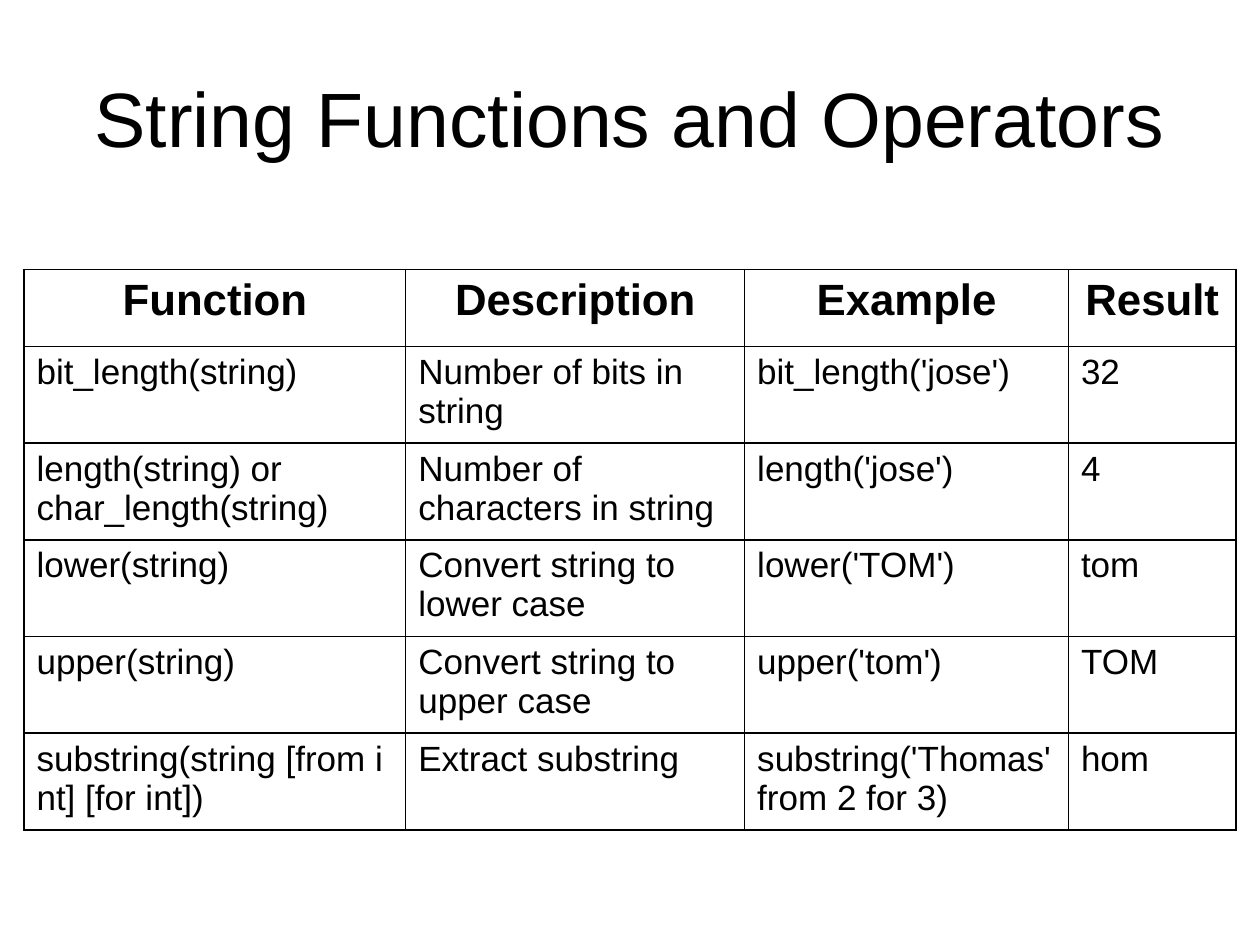
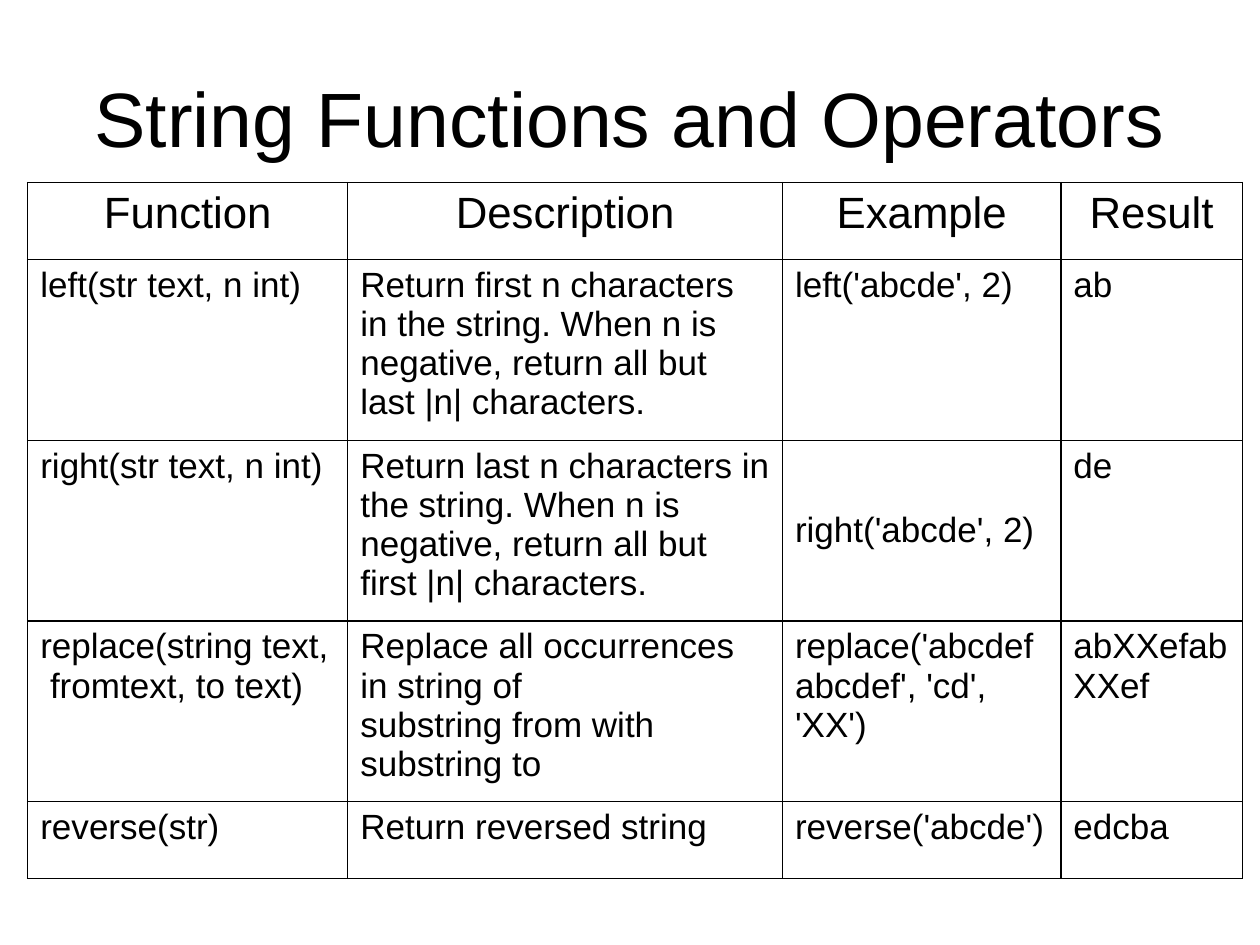
from lxml.etree import SubElement
from pptx import Presentation
from pptx.dml.color import RGBColor
from pptx.enum.text import MSO_ANCHOR, PP_ALIGN
from pptx.oxml.ns import qn
from pptx.util import Inches, Pt

BLACK = RGBColor(0, 0, 0)
FONT = "Arial"
TITLE = "String Functions and Operators"
TITLE_BOX = (0.5, 0.3, 9, 1.25)
HEADINGS = ("Function", "Description", "Example", "Result")
ROW_HEIGHT = 0.61
BORDER_WIDTH = Pt(1)

BASIC_FUNCTIONS = [
    ("bit_length(string)", "Number of bits in string", "bit_length('jose')", "32"),
    ("length(string)\u00a0or\u00a0\nchar_length(string)",
     "Number of characters in string", "length('jose')", "4"),
    ("lower(string)", "Convert string to lower case", "lower('TOM')", "tom"),
    ("upper(string)", "Convert string to upper case", "upper('tom')", "TOM"),
    ("substring(string\u00a0[from\u00a0int] [for\u00a0int])", "Extract substring",
     "substring('Thomas' from 2 for 3)", "hom"),
]
EDITING_FUNCTIONS = [
    ("left(str\u00a0text,\u00a0n\u00a0int)",
     "Return first\u00a0n\u00a0characters in the string. When\u00a0n\u00a0is negative, "
     "return all but last |n| characters.", "left('abcde', 2)", "ab"),
    ("right(str\u00a0text,\u00a0n\u00a0int)",
     "Return last\u00a0n\u00a0characters in the string. When\u00a0n\u00a0is negative, "
     "return all but first |n| characters.", "right('abcde', 2)", "de"),
    ("replace(string\u00a0text,\u00a0fromtext,\u00a0to\u00a0text)",
     "Replace all occurrences in\u00a0string\u00a0of "
     "substring\u00a0from\u00a0with substring\u00a0to",
     "replace('abcdefabcdef', 'cd', 'XX')", "abXXefabXXef"),
    ("reverse(str)", "Return reversed string", "reverse('abcde')", "edcba"),
]


def write_text(text_frame, text, size, alignment, bold=False):
    """Fill a text frame, one paragraph for each line of text."""
    text_frame.text = text
    for paragraph in text_frame.paragraphs:
        paragraph.alignment = alignment
        paragraph.font.name = FONT
        paragraph.font.size = Pt(size)
        paragraph.font.bold = bold
        paragraph.font.color.rgb = BLACK


def add_title(slide, box):
    """Place the centred slide title in the box."""
    text_frame = slide.shapes.add_textbox(*map(Inches, box)).text_frame
    text_frame.word_wrap = True
    text_frame.vertical_anchor = MSO_ANCHOR.MIDDLE
    text_frame.margin_left = text_frame.margin_right = 0
    text_frame.margin_top = text_frame.margin_bottom = 0
    write_text(text_frame, TITLE, 44, PP_ALIGN.CENTER)


def outline_cell(cell):
    """Draw a black border on all four sides of an unfilled cell."""
    properties = cell._tc.get_or_add_tcPr()
    for side in ("a:lnL", "a:lnR", "a:lnT", "a:lnB"):
        line = SubElement(properties, qn(side), w=str(BORDER_WIDTH))
        fill = SubElement(line, qn("a:solidFill"))
        SubElement(fill, qn("a:srgbClr"), val=str(BLACK))
    cell.fill.background()


def add_function_table(slide, left, top, column_widths, functions, bold_headings):
    """Place a table of functions under a heading row and return it."""
    rows = [HEADINGS, *functions]
    table = slide.shapes.add_table(
        len(rows), len(HEADINGS), Inches(left), Inches(top),
        Inches(sum(column_widths)), Inches(ROW_HEIGHT * len(rows))).table
    table.first_row = table.horz_banding = False
    for column, width in zip(table.columns, column_widths):
        column.width = Inches(width)
    for row_index, texts in enumerate(rows):
        table.rows[row_index].height = Inches(ROW_HEIGHT)
        for column_index, text in enumerate(texts):
            cell = table.cell(row_index, column_index)
            outline_cell(cell)
            if row_index == 0:
                write_text(cell.text_frame, text, 25, PP_ALIGN.CENTER, bold_headings)
            else:
                write_text(cell.text_frame, text, 20, PP_ALIGN.LEFT)
    return table


def add_function_slide(presentation, left, top, column_widths, functions,
                       bold_headings=False):
    """Add a titled slide with one function table and return the table."""
    slide = presentation.slides.add_slide(presentation.slide_layouts[6])
    add_title(slide, TITLE_BOX)
    return add_function_table(slide, left, top, column_widths, functions, bold_headings)


presentation = Presentation()
presentation.slide_width = Inches(10)
presentation.slide_height = Inches(7.5)
add_function_slide(presentation, 0.19, 2.14, (3.03, 2.69, 2.57, 1.33),
                   BASIC_FUNCTIONS, bold_headings=True)
editing_table = add_function_slide(presentation, 0.22, 1.45, (2.54, 3.45, 2.21, 1.44),
                                   EDITING_FUNCTIONS)
right_example = editing_table.cell(2, 2)
right_example.vertical_anchor = MSO_ANCHOR.MIDDLE
presentation.save("out.pptx")
